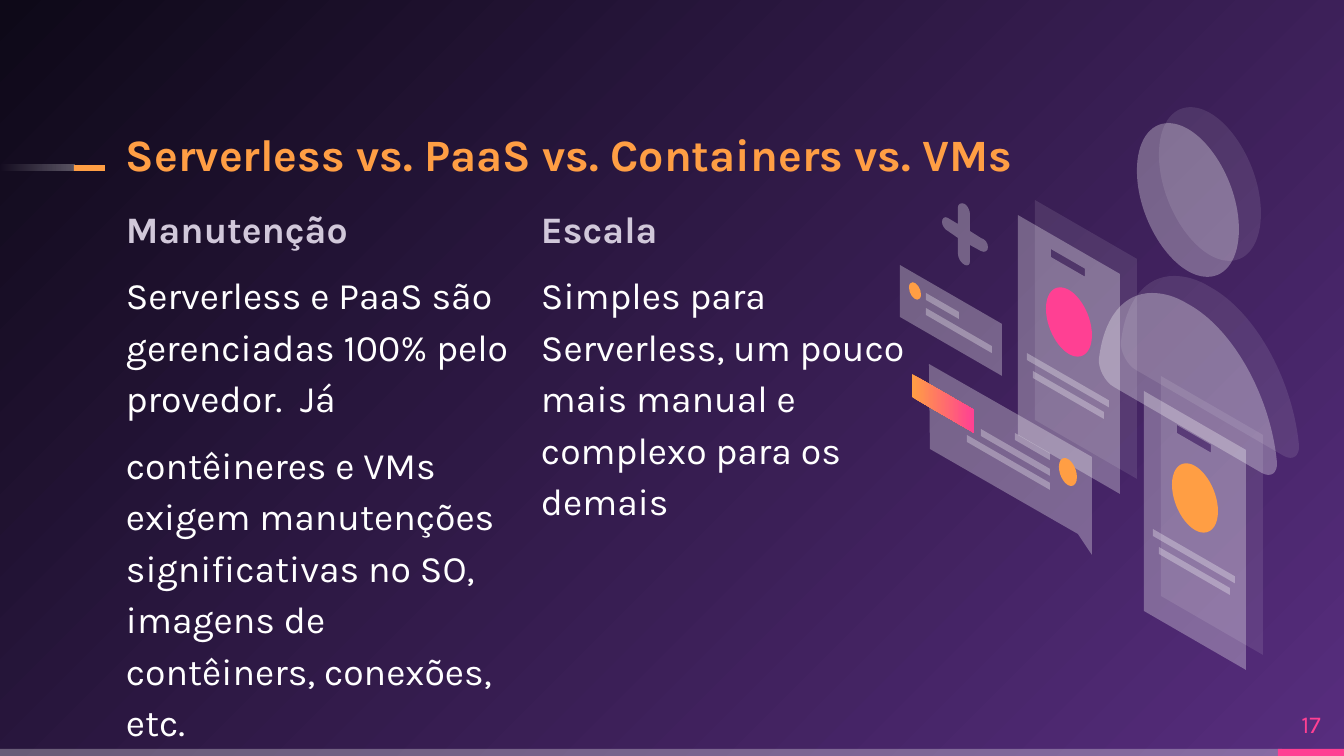
from math import atan2, cos, pi, sin, sqrt, tan

from lxml.etree import SubElement
from pptx import Presentation
from pptx.dml.color import RGBColor
from pptx.enum.shapes import MSO_SHAPE
from pptx.enum.text import MSO_ANCHOR, MSO_AUTO_SIZE, PP_ALIGN
from pptx.oxml.ns import qn
from pptx.util import Pt

PX = 6804  # EMU per px
FINE = 100  # freeform units per px
SLOPE = 1 / sqrt(3)  # isometric drawing: 30 degrees
FONT = "Karla"
WHITE, ORANGE, PINK, LILAC = "FFFFFF", "FF9E44", "FF4093", "D1C8DA"
SOLID_ORANGE, SOLID_PINK = (ORANGE, 100), (PINK, 100)
GLASS, FAINT = (WHITE, 30), (WHITE, 10)


def paint(shape, *stops):
    """Fill with one (colour, opacity %) stop, or a left-to-right gradient of two."""
    shape.shadow.inherit = False
    shape.line.fill.background()
    if len(stops) == 1:
        shape.fill.solid()
        targets = [shape.fill.fore_color]
    else:
        shape.fill.gradient()
        shape.fill.gradient_angle = 0
        targets = [stop.color for stop in shape.fill.gradient_stops]
    for target, (colour, _) in zip(targets, stops):
        target.rgb = RGBColor.from_string(colour)
    for node, (_, opacity) in zip(shape._element.spPr.iter(qn("a:srgbClr")), stops):
        if opacity < 100:
            SubElement(node, qn("a:alpha")).set("val", str(opacity * 1000))


def draw(contours, *stops):
    """Draw closed contours; a 2-tuple is a line end, a 6-tuple a cubic curve."""
    scaled = [[tuple(round(v * FINE) for v in step) for step in contour]
              for contour in contours]
    builder = illustration.shapes.build_freeform(*scaled[0][0], scale=PX / FINE)
    for i, contour in enumerate(scaled):
        if i:
            builder.move_to(*contour[0])
        builder.add_line_segments([step[-2:] for step in contour[1:]], close=True)
    shape = builder.convert_to_shape()
    left = min(step[-2] for contour in scaled for step in contour)
    top = min(step[-1] for contour in scaled for step in contour)
    steps = [step for contour in scaled for step in contour[1:]]
    # Turn the line to each curve's end into the curve itself
    for segment, step in zip(list(shape._element.iter(qn("a:lnTo"))), steps):
        if len(step) == 6:
            segment.clear()
            segment.tag = qn("a:cubicBezTo")
            for x, y in zip(step[::2], step[1::2]):
                point = SubElement(segment, qn("a:pt"))
                point.set("x", str(x - left))
                point.set("y", str(y - top))
    paint(shape, *stops)


prs = Presentation()
prs.slide_width, prs.slide_height = 1344 * PX, 756 * PX
slide = prs.slides.add_slide(prs.slide_layouts[5])

# Background: radial gradient out of the bottom right corner
background = slide.background.fill
background.gradient()
for stop, colour in zip(background.gradient_stops, ("572D7E", "0E0918")):
    stop.color.rgb = RGBColor.from_string(colour)
gradient = next(slide._element.iter(qn("a:gradFill")))
gradient.remove(gradient.find(qn("a:lin")))
radial = SubElement(gradient, qn("a:path"))
radial.set("path", "circle")
corner = SubElement(radial, qn("a:fillToRect"))
for side, value in zip("ltrb", (100000, 100000, 0, 0)):
    corner.set(side, str(value))

# Footer bars and the dash before the title
bars = [
    ((0, 749, 1282, 7), [GLASS]),
    ((1278, 749, 66, 7), [SOLID_PINK]),
    ((0, 165, 75, 6), [(WHITE, 0), GLASS]),
    ((74, 165, 31, 6), [SOLID_ORANGE]),
]
for box, stops in bars:
    bar = slide.shapes.add_shape(MSO_SHAPE.RECTANGLE, *(v * PX for v in box))
    paint(bar, *stops)

# Texts: box, anchor, alignment, spacing, then (text, size, colour, bold) per paragraph
title = slide.shapes.title
title.left, title.top, title.width, title.height = (v * PX for v in (126, 123, 980, 58))
texts = [
    (title, None, MSO_ANCHOR.BOTTOM, PP_ALIGN.LEFT, 0.9,
     [("Serverless vs. PaaS vs. Containers vs. VMs", 24, ORANGE, True)]),
    (None, (126, 199, 384, 503), MSO_ANCHOR.TOP, PP_ALIGN.LEFT, 1.15,
     [("Manutenção", 20, LILAC, True),
      ("Serverless e PaaS são gerenciadas 100% pelo provedor.  Já", 20, WHITE, False),
      ("contêineres e VMs exigem manutenções significativas no SO, "
       "imagens de contêiners, conexões, etc.", 20, WHITE, False)]),
    (None, (541, 199, 365, 503), MSO_ANCHOR.TOP, PP_ALIGN.LEFT, 1.15,
     [("Escala", 20, LILAC, True),
      ("Simples para Serverless, um pouco mais manual e complexo para os demais",
       20, WHITE, False)]),
    (None, (1278, 698, 66, 51), MSO_ANCHOR.MIDDLE, PP_ALIGN.CENTER, 1.0,
     [("17", 13, PINK, False)]),
]
for holder, box, anchor, alignment, spacing, paragraphs in texts:
    holder = holder or slide.shapes.add_textbox(*(v * PX for v in box))
    frame = holder.text_frame
    frame.word_wrap = True
    frame.auto_size = MSO_AUTO_SIZE.NONE
    frame.vertical_anchor = anchor
    frame.margin_left = frame.margin_top = frame.margin_right = frame.margin_bottom = 0
    for i, (text, size, colour, bold) in enumerate(paragraphs):
        paragraph = frame.add_paragraph() if i else frame.paragraphs[0]
        paragraph.alignment = alignment
        paragraph.line_spacing = spacing
        paragraph.space_before = Pt(8 if i else 0)
        run = paragraph.add_run()
        run.text = text
        run.font.name = FONT
        run.font.size = Pt(size)
        run.font.bold = bold
        run.font.color.rgb = RGBColor.from_string(colour)

# Illustration: person with an echo behind, and speech bubble
illustration = slide.shapes.add_group_shape()
shoulders = [(1188, 304), (1175, 296, 1163, 293, 1152, 293),
             (1124, 293, 1104, 317, 1099, 359),
             (1098, 368, 1105, 382, 1114, 387), (1262, 473),
             (1271, 478, 1278, 473, 1277, 462), (1271, 398, 1234, 329, 1188, 304)]
shoulders_echo = [tuple(v + (-17 if i % 2 else 22) for i, v in enumerate(step))
                  for step in shoulders]
bubble = [(1092, 457), (929, 364), (930, 449), (1078, 534), (1092, 555)]
for outline, stop in ((shoulders_echo, FAINT), (shoulders, GLASS), (bubble, GLASS)):
    draw([outline], stop)

# Slanted panels (left, top, width, height); a second one cuts a slot
panels = [
    ([(900, 265, 102, 52)], [GLASS]),
    ([(926, 293, 33, 7)], [GLASS]),
    ([(926, 308, 66, 7)], [GLASS]),
    ([(912, 374, 62, 23)], [SOLID_ORANGE, SOLID_PINK]),
    ([(1015, 433, 35, 7)], [GLASS]),
    ([(981, 429, 69, 7)], [GLASS]),
    ([(967, 435, 83, 7)], [GLASS]),
]
discs = [
    (1210, 184, 51, 71, FAINT),
    (1188, 200, 51, 71, GLASS),
    (915, 291, 6, 8, SOLID_ORANGE),
    (1068, 472, 9, 13, SOLID_ORANGE),
]
for dx, dy, badge in ((126, 176, SOLID_ORANGE), (0, 0, SOLID_PINK)):
    panels += [
        ([(1035 + dx, 200 + dy, 102, 220)], [FAINT]),
        ([(1018 + dx, 215 + dy, 102, 220), (1051 + dx, 249 + dy, 34, 8)], [GLASS]),
        ([(1027 + dx, 353 + dy, 82, 7)], [GLASS]),
        ([(1033 + dx, 371 + dy, 71, 7)], [GLASS]),
    ]
    discs.append((1069 + dx, 322 + dy, 23, 32, badge))

for quads, stops in panels:
    draw([[(x, y), (x + w, y + w * SLOPE), (x + w, y + w * SLOPE + h), (x, y + h)]
          for x, y, w, h in quads], *stops)

# Slanted ellipses, as four arcs between the outermost points
for x, y, rx, ry, stop in discs:
    lowest = atan2(ry, SLOPE * rx)
    angles = [0, lowest, pi, pi + lowest, 2 * pi]
    ellipse = [(x + rx, y + SLOPE * rx)]
    for a, b in zip(angles, angles[1:]):
        k = 4 / 3 * tan((b - a) / 4)
        circle = [(cos(a) - k * sin(a), sin(a) + k * cos(a)),
                  (cos(b) + k * sin(b), sin(b) - k * cos(b)), (cos(b), sin(b))]
        ellipse.append(tuple(v for c, s in circle
                             for v in (x + rx * c, y + ry * s + SLOPE * rx * c)))
    draw([ellipse], stop)

plus = [(965, 204), (968, 206, 970, 211, 970, 214), (970, 231), (981, 238),
        (985, 239, 988, 243, 988, 247), (988, 251, 985, 253, 981, 251),
        (970, 245), (970, 261), (970, 265, 968, 266, 965, 265),
        (961, 263, 958, 258, 958, 254), (958, 238), (948, 231),
        (945, 230, 942, 225, 942, 222), (942, 218, 945, 216, 948, 218),
        (958, 224), (958, 207), (958, 204, 961, 202, 965, 204)]
draw([plus], GLASS)

prs.save("out.pptx")
